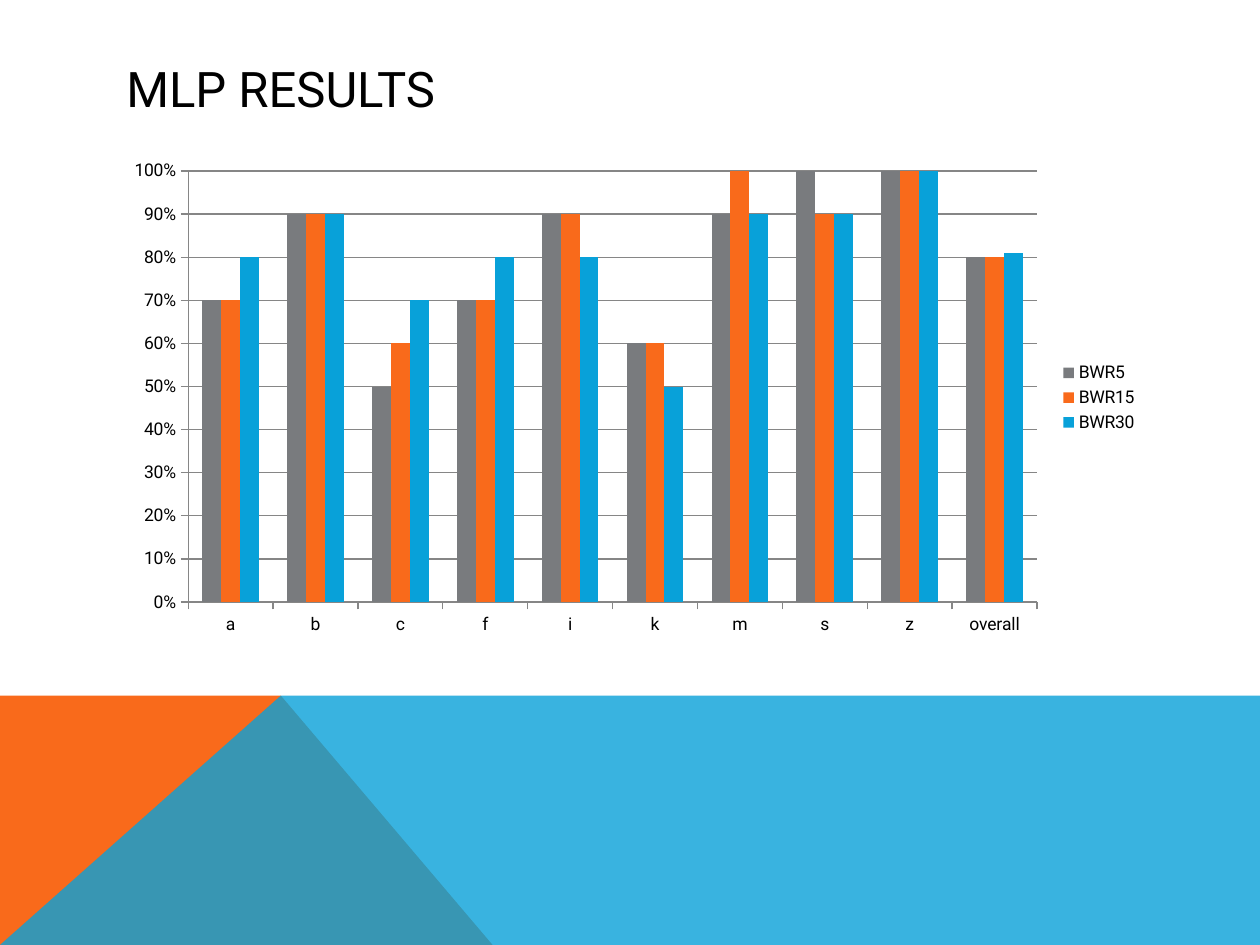
from dataclasses import dataclass

from lxml.etree import SubElement
from pptx import Presentation
from pptx.chart.data import CategoryChartData
from pptx.dml.color import RGBColor
from pptx.enum.chart import XL_CHART_TYPE as ChartType
from pptx.enum.chart import XL_LEGEND_POSITION as LegendPosition
from pptx.enum.chart import XL_TICK_MARK as TickMark
from pptx.enum.text import MSO_ANCHOR as Anchor
from pptx.enum.text import PP_ALIGN as Align
from pptx.oxml.ns import qn
from pptx.util import Pt


@dataclass(frozen=True)
class Theme:
    font: str = "Roboto"
    title_size: int = 28
    chart_size: int = 10
    text: RGBColor = RGBColor.from_string("000000")
    line: RGBColor = RGBColor.from_string("868686")
    gray: RGBColor = RGBColor.from_string("797B7E")
    orange: RGBColor = RGBColor.from_string("F96A1B")
    blue: RGBColor = RGBColor.from_string("08A1D9")


THEME = Theme()
WIDTH, HEIGHT = 720, 540
BAND_TOP, PEAK_X, SLOPE_END_X = 397.5, 160.5, 281.5

CATEGORIES = ["a", "b", "c", "f", "i", "k", "m", "s", "z", "overall"]
RESULTS = [
    ("BWR5", THEME.gray, [0.7, 0.9, 0.5, 0.7, 0.9, 0.6, 0.9, 1, 1, 0.8]),
    ("BWR15", THEME.orange, [0.7, 0.9, 0.6, 0.7, 0.9, 0.6, 1, 0.9, 1, 0.8]),
    ("BWR30", THEME.blue, [0.8, 0.9, 0.7, 0.8, 0.8, 0.5, 0.9, 0.9, 1, 0.81]),
]


def style_font(font, size):
    font.name = THEME.font
    font.size = Pt(size)
    font.color.rgb = THEME.text


def add_polygon(slide, points, color, opacity=100):
    """Add a borderless polygon; opacity is in percent."""
    start, *others = [(Pt(x), Pt(y)) for x, y in points]
    builder = slide.shapes.build_freeform(*start)
    builder.add_line_segments(others, close=True)
    shape = builder.convert_to_shape()
    shape.shadow.inherit = False
    shape.fill.solid()
    shape.fill.fore_color.rgb = color
    shape.line.fill.background()
    if opacity < 100:
        color_element = shape.element.spPr.find(f".//{qn('a:srgbClr')}")
        SubElement(color_element, qn("a:alpha"), val=str(opacity * 1000))


def set_title(slide, text):
    title = slide.shapes.title
    title.left, title.top, title.width, title.height = Pt(65), Pt(29), Pt(592), Pt(43)
    frame = title.text_frame
    frame.text = text
    frame.vertical_anchor = Anchor.MIDDLE
    paragraph = frame.paragraphs[0]
    paragraph.alignment = Align.LEFT
    style_font(paragraph.font, THEME.title_size)


def style_axis(axis):
    axis.major_tick_mark = TickMark.OUTSIDE
    axis.minor_tick_mark = TickMark.NONE
    axis.format.line.color.rgb = THEME.line


def add_results_chart(slide):
    data = CategoryChartData(number_format="0%")
    data.categories = CATEGORIES
    for name, _, values in RESULTS:
        data.add_series(name, values)
    chart = slide.shapes.add_chart(
        ChartType.COLUMN_CLUSTERED, Pt(65), Pt(86.5), Pt(592.5), Pt(281.5), data
    ).chart
    style_font(chart.font, THEME.chart_size)
    chart.has_title = False
    chart.has_legend = True
    chart.legend.position = LegendPosition.RIGHT
    chart.legend.include_in_layout = False

    plot = chart.plots[0]
    plot.gap_width = 150
    plot.overlap = 0
    plot.vary_by_categories = False
    for series, (_, color, _) in zip(plot.series, RESULTS):
        series.format.fill.solid()
        series.format.fill.fore_color.rgb = color

    style_axis(chart.category_axis)
    value_axis = chart.value_axis
    style_axis(value_axis)
    value_axis.minimum_scale, value_axis.maximum_scale = 0, 1
    value_axis.major_unit = 0.1
    value_axis.tick_labels.number_format = "0%"
    value_axis.tick_labels.number_format_is_linked = False
    value_axis.major_gridlines.format.line.color.rgb = THEME.line


def main():
    presentation = Presentation()
    presentation.slide_width, presentation.slide_height = Pt(WIDTH), Pt(HEIGHT)
    slide = presentation.slides.add_slide(presentation.slide_layouts[5])

    corner, peak = (0, HEIGHT), (PEAK_X, BAND_TOP)
    add_polygon(
        slide, [corner, (0, BAND_TOP), peak, (SLOPE_END_X, HEIGHT)], THEME.orange
    )
    add_polygon(
        slide, [corner, peak, (WIDTH, BAND_TOP), (WIDTH, HEIGHT)], THEME.blue, opacity=80
    )
    set_title(slide, "MLP RESULTS")
    add_results_chart(slide)
    presentation.save("out.pptx")


if __name__ == "__main__":
    main()
